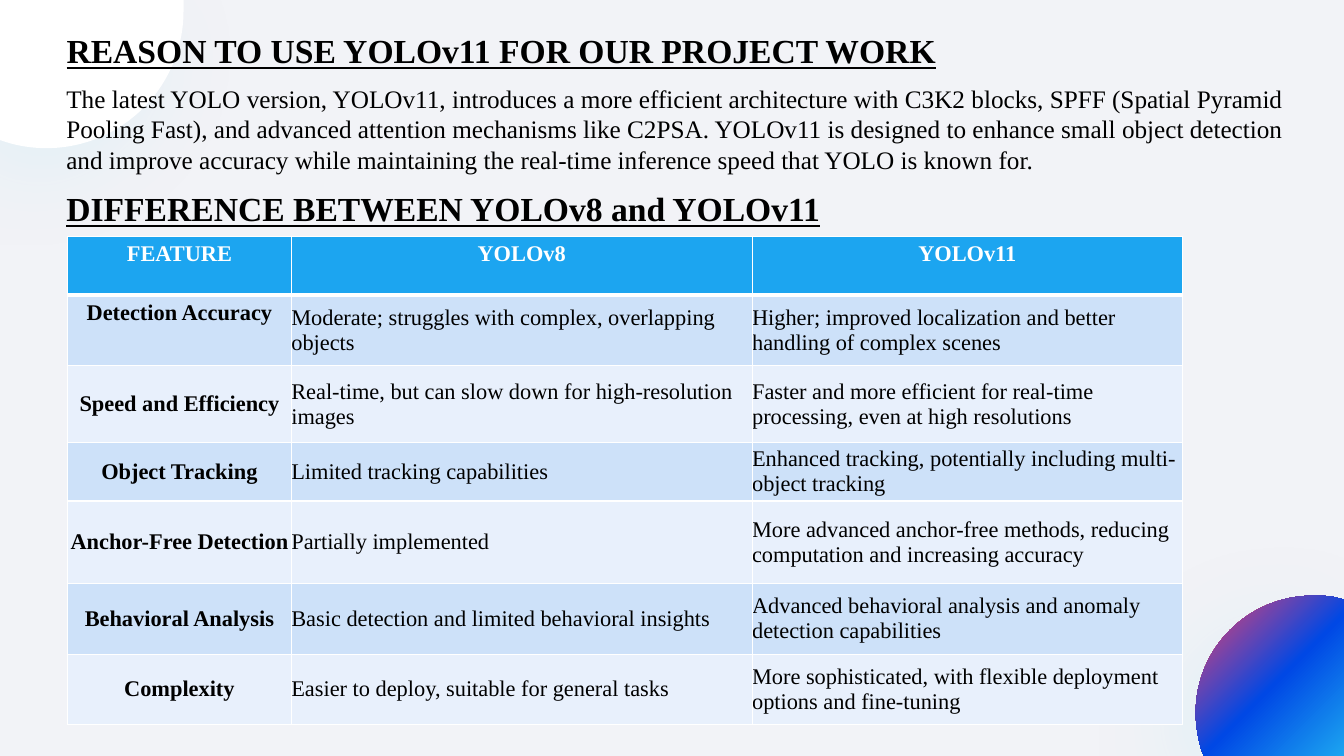
from dataclasses import dataclass
from typing import Optional

from pptx import Presentation
from pptx.dml.color import RGBColor
from pptx.enum.text import MSO_ANCHOR, MSO_AUTO_SIZE, PP_ALIGN
from pptx.oxml import parse_xml
from pptx.oxml.ns import nsdecls
from pptx.util import Emu, Pt

PX = 9144  # 100 px to the inch
SLIDE_WIDTH, SLIDE_HEIGHT = 1333, 750
FONT = "Times New Roman"
TITLE_ONLY = 5
NBSP = chr(160)  # no-break space

LEFT, CENTER, JUSTIFY = PP_ALIGN.LEFT, PP_ALIGN.CENTER, PP_ALIGN.JUSTIFY
TOP, MIDDLE = MSO_ANCHOR.TOP, MSO_ANCHOR.MIDDLE
NO_AUTOFIT = MSO_AUTO_SIZE.NONE

BLACK = RGBColor(0x00, 0x00, 0x00)
WHITE = RGBColor(0xFF, 0xFF, 0xFF)
BACKGROUND = RGBColor(0xF2, 0xF3, 0xF7)
HEADER_BLUE = RGBColor(0x1C, 0xA5, 0xF0)
DEEP_BLUE = RGBColor(0x00, 0x48, 0xE5)
PINK = RGBColor(0xF6, 0x40, 0x6A)
SHADOW_CYAN = RGBColor(0x55, 0xD5, 0xEF)
BAND_FILLS = (RGBColor(0xCD, 0xE1, 0xF9), RGBColor(0xE8, 0xF0, 0xFC))


@dataclass(frozen=True)
class Box:
    left: int
    top: int
    width: int
    height: int

    def emu(self) -> tuple:
        return tuple(Emu(n * PX) for n in (self.left, self.top, self.width, self.height))


@dataclass(frozen=True)
class Segment:
    """A line to the end point, or a curve if it has two control points."""
    end: tuple
    controls: tuple = ()


@dataclass(frozen=True)
class Disc:
    """A circle cut off by the slide edges; no fill means the accent gradient."""
    start: tuple
    segments: tuple
    fill: Optional[RGBColor] = None


@dataclass(frozen=True)
class FeatureRow:
    height: int
    feature: str
    yolov8: str
    yolov11: str


DISCS = (
    Disc((1302, 591), (
        Segment((1326, 593), ((1310, 591), (1318, 591))),
        Segment((1333, 595)),
        Segment((SLIDE_WIDTH, SLIDE_HEIGHT)),
        Segment((1194, 750)),
        Segment((1191, 742)),
        Segment((1186, 707), ((1188, 731), (1186, 719))),
        Segment((1302, 591), ((1186, 643), (1238, 591))),
    )),
    Disc((0, 0), (
        Segment((182, 0)),
        Segment((182, 11)),
        Segment((46, 147), ((182, 86), (121, 147))),
        Segment((6, 141), ((32, 147), (19, 145))),
        Segment((0, 139)),
    ), WHITE),
)
GRADIENT_STOPS = ((0, HEADER_BLUE), (46, DEEP_BLUE), (100, PINK))

REASON_TITLE = "REASON TO USE YOLOv11 FOR OUR PROJECT WORK"
REASON_TEXT = (
    "The latest YOLO version, YOLOv11, introduces a more efficient architecture "
    f"with{NBSP}C3K2 blocks,{NBSP}SPFF{NBSP}(Spatial Pyramid Pooling Fast), and advanced "
    f"attention mechanisms like{NBSP}C2PSA. YOLOv11 is designed to enhance small object "
    "detection and improve accuracy while maintaining the real-time inference speed "
    "that YOLO is known for."
)
DIFFERENCE_TITLE = "DIFFERENCE BETWEEN YOLOv8 and YOLOv11"

TABLE_BOX = Box(67, 235, 1106, 484)
COLUMN_WIDTHS = (222, 457, 427)
ROWS = (
    FeatureRow(58, "FEATURE", "YOLOv8", "YOLOv11"),
    FeatureRow(70, "Detection Accuracy",
               "Moderate; struggles with complex, overlapping objects",
               "Higher; improved localization and better handling of complex scenes"),
    FeatureRow(76, "Speed and Efficiency",
               "Real-time, but can slow down for high-resolution images",
               "Faster and more efficient for real-time processing, even at high resolutions"),
    FeatureRow(58, "Object Tracking", "Limited tracking capabilities",
               "Enhanced tracking, potentially including multi-object tracking"),
    FeatureRow(82, "Anchor-Free Detection", "Partially implemented",
               "More advanced anchor-free methods, reducing computation and increasing accuracy"),
    FeatureRow(70, "Behavioral Analysis", "Basic detection and limited behavioral insights",
               "Advanced behavioral analysis and anomaly detection capabilities"),
    FeatureRow(70, "Complexity", "Easier to deploy, suitable for general tasks",
               "More sophisticated, with flexible deployment options and fine-tuning"),
)


def write_text(text_frame, text: str, *, size: int, color: RGBColor = BLACK,
               bold: bool = False, underline: bool = False,
               align: PP_ALIGN = LEFT) -> None:
    paragraph = text_frame.paragraphs[0]
    paragraph.alignment = align
    run = paragraph.add_run()
    run.text = text
    font = run.font
    font.name, font.size, font.bold, font.underline = FONT, Pt(size), bold, underline
    font.color.rgb = color


def place_text(shape, box: Box, text: str, **text_format) -> None:
    shape.left, shape.top, shape.width, shape.height = box.emu()
    text_frame = shape.text_frame
    text_frame.word_wrap = True
    text_frame.auto_size = NO_AUTOFIT
    text_frame.vertical_anchor = TOP
    write_text(text_frame, text, **text_format)


def add_text_box(slide, box: Box, text: str, **text_format) -> None:
    place_text(slide.shapes.add_textbox(*box.emu()), box, text, **text_format)


def add_disc(slide, disc: Disc) -> None:
    builder = slide.shapes.build_freeform(*disc.start, scale=PX)
    builder.add_line_segments([segment.end for segment in disc.segments], close=True)
    shape = builder.convert_to_shape()
    bend_segments(shape, disc)
    shape.line.fill.background()
    if disc.fill is None:
        fill_with_radial_gradient(shape)
    else:
        shape.fill.solid()
        shape.fill.fore_color.rgb = disc.fill
    shape._element.spPr.append(parse_xml(
        f'<a:effectLst {nsdecls("a")}><a:outerShdw blurRad="{Pt(68)}" dist="{Pt(24)}" '
        f'dir="8100000" algn="tr" rotWithShape="0"><a:srgbClr val="{SHADOW_CYAN}">'
        '<a:alpha val="10000"/></a:srgbClr></a:outerShdw></a:effectLst>'))


def bend_segments(shape, disc: Disc) -> None:
    """Turn the straight segments that have control points into curves."""
    left, top = shape.left // PX, shape.top // PX
    lines = shape._element.spPr.xpath(".//a:lnTo")
    for line, segment in zip(lines, disc.segments):
        if segment.controls:
            points = "".join(f'<a:pt x="{x - left}" y="{y - top}"/>'
                             for x, y in (*segment.controls, segment.end))
            curve = parse_xml(f'<a:cubicBezTo {nsdecls("a")}>{points}</a:cubicBezTo>')
            line.getparent().replace(line, curve)


def fill_with_radial_gradient(shape) -> None:
    """Spread the accent stops outwards from the bottom right corner."""
    stops = "".join(f'<a:gs pos="{position * 1000}"><a:srgbClr val="{color}"/></a:gs>'
                    for position, color in GRADIENT_STOPS)
    gradient = parse_xml(
        f'<a:gradFill {nsdecls("a")} rotWithShape="1"><a:gsLst>{stops}</a:gsLst>'
        '<a:path path="circle"><a:fillToRect l="100000" t="100000"/></a:path></a:gradFill>')
    shape._element.spPr.custGeom.addnext(gradient)


def set_borders(cell, **widths: int) -> None:
    """Draw white borders; keywords are the side tags, in schema order."""
    properties = cell._tc.get_or_add_tcPr()
    for index, (side, width) in enumerate(widths.items()):
        properties.insert(index, parse_xml(
            f'<a:{side} {nsdecls("a")} w="{Pt(width)}"><a:solidFill>'
            f'<a:srgbClr val="{WHITE}"/></a:solidFill></a:{side}>'))


def add_feature_table(slide) -> None:
    table = slide.shapes.add_table(len(ROWS), len(COLUMN_WIDTHS), *TABLE_BOX.emu()).table
    table.horz_banding = False
    for column, width in zip(table.columns, COLUMN_WIDTHS):
        column.width = Emu(width * PX)
    for row_index, row in enumerate(ROWS):
        table.rows[row_index].height = Emu(row.height * PX)
        is_header = row_index == 0
        for column_index, text in enumerate((row.feature, row.yolov8, row.yolov11)):
            cell = table.cell(row_index, column_index)
            is_label = is_header or column_index == 0
            if not is_header and (row_index, column_index) != (1, 0):
                cell.vertical_anchor = MIDDLE
                cell.margin_left = cell.margin_right = 0
                cell.margin_top = cell.margin_bottom = 0
            cell.fill.solid()
            cell.fill.fore_color.rgb = HEADER_BLUE if is_header else BAND_FILLS[(row_index - 1) % 2]
            set_borders(cell, lnL=1, lnR=1, lnT=3 if row_index == 1 else 1,
                        lnB=3 if is_header else 1)
            write_text(cell.text_frame, text, size=16, bold=is_label,
                       color=WHITE if is_header else BLACK,
                       align=CENTER if is_label else LEFT)


def main() -> None:
    presentation = Presentation()
    presentation.slide_width = Emu(SLIDE_WIDTH * PX)
    presentation.slide_height = Emu(SLIDE_HEIGHT * PX)
    slide = presentation.slides.add_slide(presentation.slide_layouts[TITLE_ONLY])
    slide.background.fill.solid()
    slide.background.fill.fore_color.rgb = BACKGROUND

    for disc in DISCS:
        add_disc(slide, disc)
    title = slide.shapes.title
    slide.shapes._spTree.append(title._element)  # bring the title in front of the discs
    heading_format = {"size": 24, "bold": True, "underline": True}
    place_text(title, Box(56, 25, 978, 50), REASON_TITLE, **heading_format)
    add_text_box(slide, Box(56, 78, 1227, 127), REASON_TEXT, size=18, align=JUSTIFY)
    add_text_box(slide, Box(56, 182, 883, 50), DIFFERENCE_TITLE, **heading_format)
    add_feature_table(slide)
    presentation.save("out.pptx")


if __name__ == "__main__":
    main()
